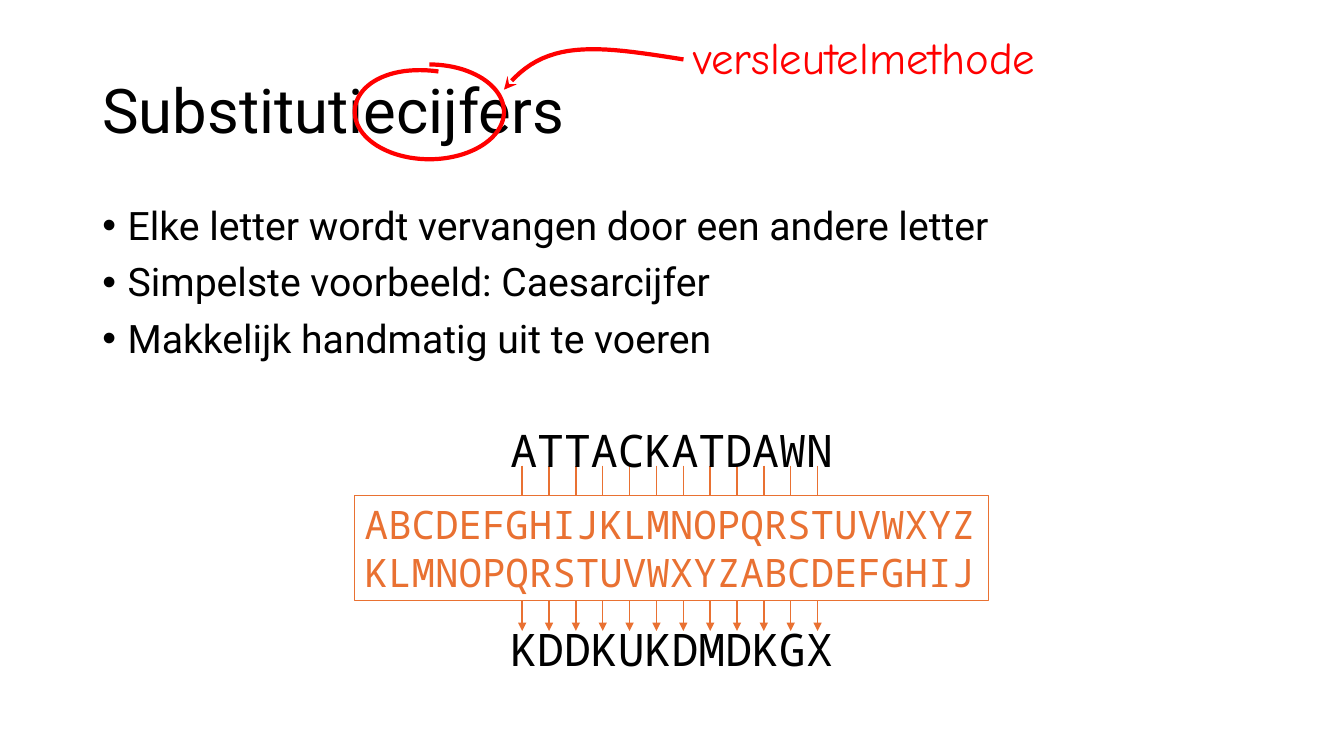
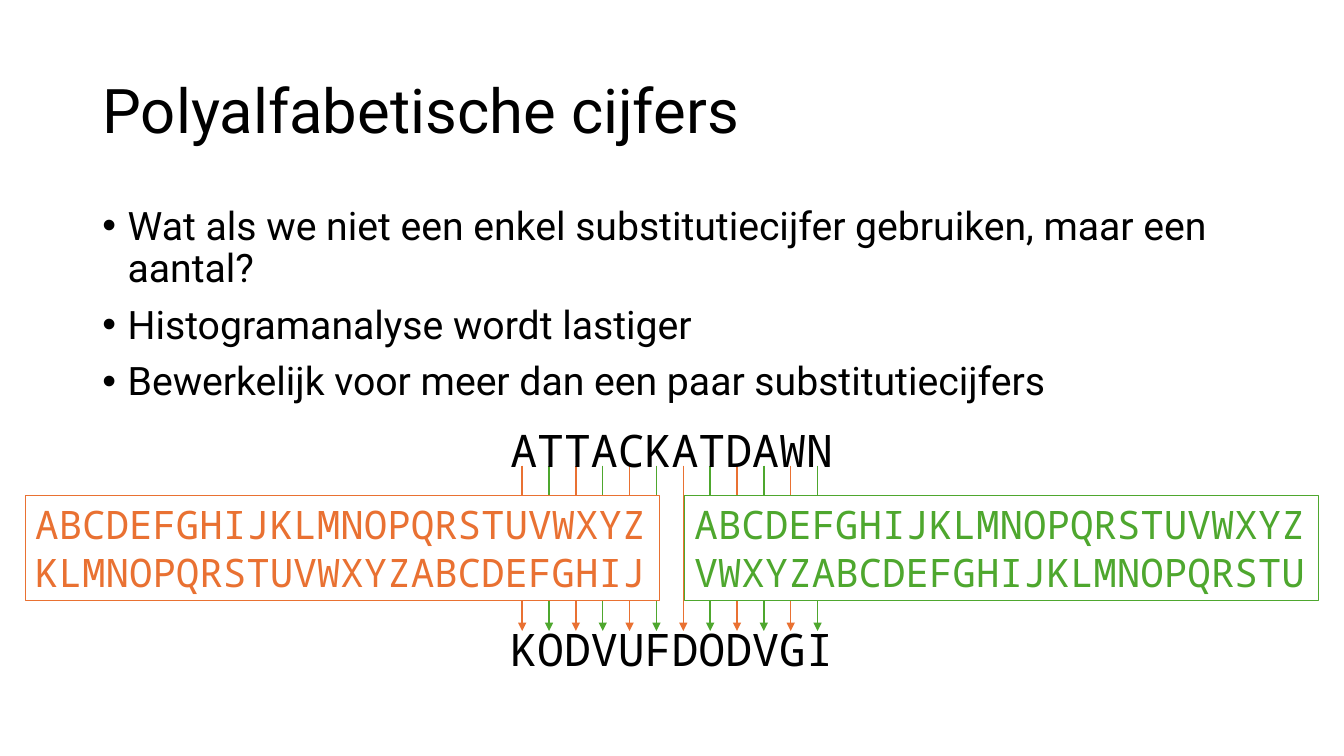
import lxml.etree
import pptx
import pptx.dml.color
import pptx.enum.shapes
import pptx.enum.text
import pptx.oxml.ns
import pptx.util

Pt = pptx.util.Pt
qn = pptx.oxml.ns.qn
Fit = pptx.enum.text.MSO_AUTO_SIZE
Anchor = pptx.enum.text.MSO_ANCHOR
Align = pptx.enum.text.PP_ALIGN

BLACK, WHITE, RED = "000000", "FFFFFF", "FF0000"
ORANGE, GREEN = "E97132", "4EA72E"
SANS, MONO, HAND = "Roboto", "Noto Sans Mono", "Comic Neue"
ABC = "ABCDEFGHIJKLMNOPQRSTUVWXYZ"
WIDE = 452.9  # width of a cipher box


def color(code):
    return pptx.dml.color.RGBColor.from_string(code)


def bend(start, *curves):
    """Sample joined cubic curves, each given as two handles and an end."""
    points, steps = [start], 24
    for a, b, end in curves:
        for n in range(1, steps + 1):
            t = n / steps
            u = 1 - t
            parts = ((u ** 3, start), (3 * u * u * t, a),
                     (3 * u * t * t, b), (t ** 3, end))
            points.append(tuple(sum(w * p[i] for w, p in parts)
                                for i in (0, 1)))
        start = end
    return points


class Deck:
    def __init__(self):
        self.file = pptx.Presentation()
        self.file.slide_width = Pt(960)
        self.file.slide_height = Pt(540)
        self.slide = None

    # Text style
    def style(self, frame, size, font, code, align=Align.LEFT):
        for para in frame.paragraphs:
            para.alignment = align
            for run in para.runs:
                run.font.size = Pt(size)
                run.font.name = font
                run.font.color.rgb = color(code)

    def place(self, shape, left, top, width, height):
        shape.left, shape.top = Pt(left), Pt(top)
        shape.width, shape.height = Pt(width), Pt(height)

    # Slide with title and list
    def page(self, title, items):
        self.slide = self.file.slides.add_slide(self.file.slide_layouts[1])
        head, body = self.slide.placeholders
        self.place(head, 66, 28.75, 828, 104.4)
        self.place(body, 66, 144, 828, 342.7)

        frame = head.text_frame
        frame.text = title
        frame.auto_size = Fit.NONE
        frame.vertical_anchor = Anchor.MIDDLE
        frame.paragraphs[0].line_spacing = 0.9
        self.style(frame, 44, SANS, BLACK)

        frame = body.text_frame
        frame.text = "\n".join(items)
        frame.auto_size = Fit.NONE
        for n, para in enumerate(frame.paragraphs):
            self.bullet(para)
            para.line_spacing = 0.9
            para.space_before = Pt(10 if n else 0)
        self.style(frame, 28, SANS, BLACK)

    def bullet(self, para):
        props = para._p.get_or_add_pPr()
        props.set("marL", str(Pt(18)))
        props.set("indent", str(-Pt(18)))
        lxml.etree.SubElement(props, qn("a:buFont")).set("typeface", "Arial")
        lxml.etree.SubElement(props, qn("a:buChar")).set("char", "•")

    # Free text
    def label(self, text, left, top, width, font, code, align=Align.LEFT):
        box = self.slide.shapes.add_textbox(Pt(left), Pt(top), Pt(width), Pt(46))
        frame = box.text_frame
        frame.text = text
        frame.word_wrap = True
        frame.auto_size = Fit.SHAPE_TO_FIT_TEXT
        self.style(frame, 32, font, code, align)

    # Box with the alphabet above its shifted form
    def table(self, left, shift, code):
        box = self.slide.shapes.add_shape(
            pptx.enum.shapes.MSO_SHAPE.RECTANGLE,
            Pt(left), Pt(354.2), Pt(WIDE), Pt(74.9))
        box.shadow.inherit = False
        box.fill.solid()
        box.fill.fore_color.rgb = color(WHITE)
        box.line.color.rgb = color(code)
        box.line.width = Pt(0.75)
        frame = box.text_frame
        frame.text = ABC + "\n" + ABC[shift:] + ABC[:shift]
        frame.word_wrap = True
        frame.auto_size = Fit.SHAPE_TO_FIT_TEXT
        frame.vertical_anchor = Anchor.TOP
        self.style(frame, 28, MONO, code)

    def tip(self, line, end, kind):
        props = line._get_or_add_ln()
        lxml.etree.SubElement(props, qn(end)).set("type", kind)

    # Straight arrow down
    def arrow(self, x, top, low, code):
        link = self.slide.shapes.add_connector(
            pptx.enum.shapes.MSO_CONNECTOR.STRAIGHT,
            Pt(x), Pt(top), Pt(x), Pt(low))
        link.line.color.rgb = color(code)
        link.line.width = Pt(1)
        self.tip(link.line, "a:tailEnd", "triangle")
        lxml.etree.SubElement(link._element.spPr, qn("a:effectLst"))

    # Hand-drawn curve
    def stroke(self, points, tip=None):
        dots = [(Pt(x), Pt(y)) for x, y in points]
        pen = self.slide.shapes.build_freeform(*dots[0])
        pen.add_line_segments(dots[1:], close=False)
        shape = pen.convert_to_shape()
        shape.shadow.inherit = False
        shape.fill.background()
        shape.line.color.rgb = color(RED)
        shape.line.width = Pt(3)
        if tip:
            self.tip(shape.line, "a:headEnd", tip)

    # Plain text, arrows through the boxes, cipher text
    def cipher(self, plain, coded, tables):
        for n in range(len(plain)):
            code = tables[n % len(tables)][2]
            self.arrow(373 + n * 19.18, 332.6, 450.7, code)
        for text, top in ((plain, 298.1), (coded, 440.6)):
            self.label(text, 253.4, top, WIDE, MONO, BLACK, Align.CENTER)
        for table in tables:
            self.table(*table)


def main():
    deck = Deck()

    # Single substitution
    deck.page("Substitutiecijfers", [
        "Elke letter wordt vervangen door een andere letter",
        "Simpelste voorbeeld: Caesarcijfer",
        "Makkelijk handmatig uit te voeren"])
    deck.cipher("ATTACKATDAWN", "KDDKUKDMDKGX", [(253.4, 10, ORANGE)])

    # Ring round the word, with its remark
    deck.stroke(bend(
        (306.7, 46.1),
        ((336.2, 46.1), (360, 61.2), (360, 79.9)),
        ((360, 98.6), (336.2, 113.8), (306.7, 113.8)),
        ((277.2, 113.8), (253.4, 98.6), (253.4, 79.9)),
        ((253.4, 61.2), (277.2, 46.1), (313.2, 51.1))))
    deck.stroke(bend(
        (360, 64.1), ((388.8, 27.4), (424.8, 32.4), (488.2, 42.5))), "stealth")
    deck.label("versleutelmethode", 488.2, 18, 344.9, HAND, RED)

    # Two alphabets in turn
    deck.page("Polyalfabetische cijfers", [
        "Wat als we niet een enkel substitutiecijfer gebruiken, maar een aantal?",
        "Histogramanalyse wordt lastiger",
        "Bewerkelijk voor meer dan een paar substitutiecijfers"])
    deck.cipher("ATTACKATDAWN", "KODVUFDODVGI",
                [(18, 10, ORANGE), (488.9, 21, GREEN)])

    deck.file.save("out.pptx")


if __name__ == "__main__":
    main()
